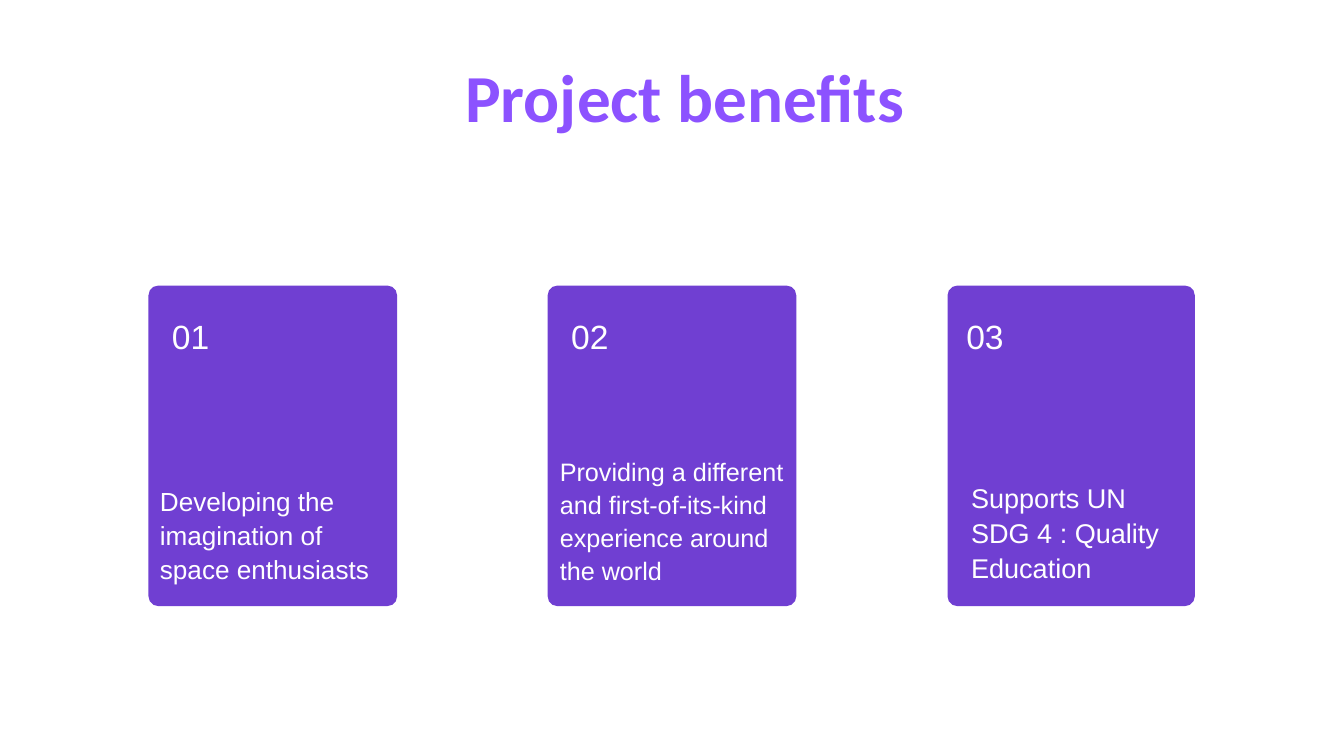
from pptx import Presentation
from pptx.dml.color import RGBColor
from pptx.enum import shapes, text
from pptx.util import Inches, Pt

COLORS = {"title": "8C52FF", "card": "703FD2", "card_text": "FFFFFF"}
CARD_TOP, CARD_HEIGHT = 4.25, 4.77
CARD_RADIUS = 0.145
CARDS = [
    {"left": 2.21, "width": 3.7, "number": "01", "number_inset": 0.35,
     "benefit": "Developing the imagination of space enthusiasts",
     "benefit_box": (0.17, 2.94, 3.35, 1.48), "size": 28},
    {"left": 8.15, "width": 3.7, "number": "02", "number_inset": 0.35,
     "benefit": "Providing a different and first-of-its-kind experience around the world",
     "benefit_box": (0.18, 2.51, 3.52, 1.91), "size": 27},
    {"left": 14.1, "width": 3.68, "number": "03", "number_inset": 0.28,
     "benefit": "Supports UN SDG 4 : Quality Education",
     "benefit_box": (0.35, 2.87, 2.95, 1.55), "size": 29},
]


def add_text(slide, box, content, size, line_spacing, color, font="Arial", bold=False):
    shape = slide.shapes.add_textbox(*map(Inches, box))
    frame = shape.text_frame
    frame.word_wrap = True
    frame.auto_size = text.MSO_AUTO_SIZE.SHAPE_TO_FIT_TEXT
    frame.margin_left = frame.margin_right = 0
    frame.margin_top = frame.margin_bottom = 0
    paragraph = frame.paragraphs[0]
    paragraph.line_spacing = Pt(line_spacing)
    run = paragraph.add_run()
    run.text = content
    run.font.name = font
    run.font.size = Pt(size)
    run.font.bold = bold
    run.font.color.rgb = RGBColor.from_string(COLORS[color])


def add_title(slide, box):
    add_text(slide, box, "Project benefits", 72, 82.5, "title", "Calibri", True)


def add_card(slide, box, card):
    left, top, width, height = box
    shape = slide.shapes.add_shape(
        shapes.MSO_SHAPE.ROUNDED_RECTANGLE, *map(Inches, box))
    shape.adjustments[0] = CARD_RADIUS / min(width, height)
    shape.shadow.inherit = False
    shape.fill.solid()
    shape.fill.fore_color.rgb = RGBColor.from_string(COLORS["card"])
    shape.line.fill.background()

    number_box = (left + card["number_inset"], top + 0.26, 0.8, 0.73)
    add_text(slide, number_box, card["number"], 36, 56.5, "card_text")

    inset_x, inset_y, text_width, text_height = card["benefit_box"]
    benefit_box = (left + inset_x, top + inset_y, text_width, text_height)
    add_text(slide, benefit_box, card["benefit"], card["size"],
             card["size"] * 1.3, "card_text")


def main():
    presentation = Presentation()
    presentation.slide_width = Inches(20)
    presentation.slide_height = Inches(11.25)
    slide = presentation.slides.add_slide(presentation.slide_layouts[6])
    add_title(slide, (6.92, 0.88, 6.86, 1.16))
    for card in CARDS:
        add_card(slide, (card["left"], CARD_TOP, card["width"], CARD_HEIGHT), card)
    presentation.save("out.pptx")


if __name__ == "__main__":
    main()
